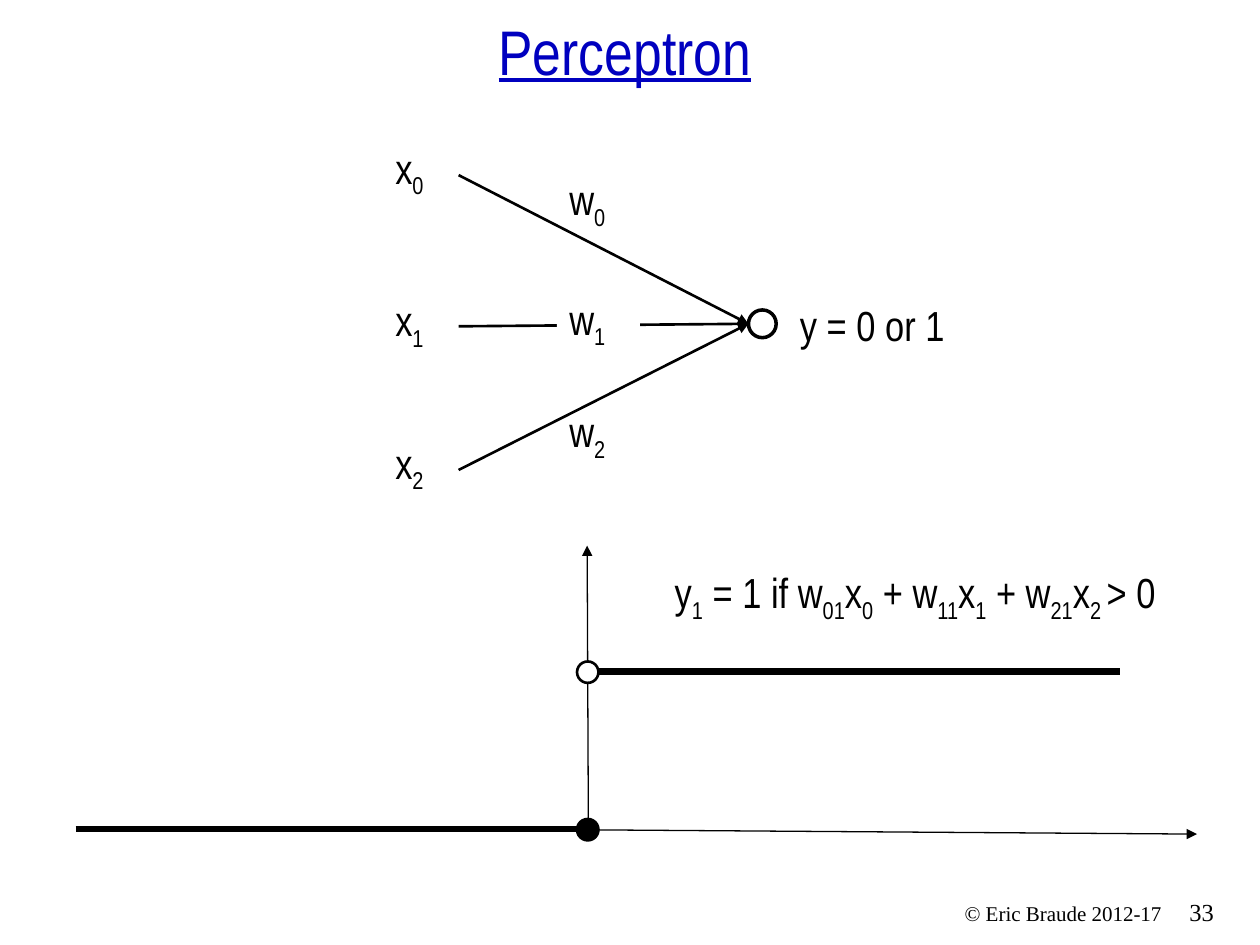
import dataclasses

import pptx
import pptx.dml.color
import pptx.enum.shapes
import pptx.enum.text
import pptx.oxml
import pptx.oxml.ns
import pptx.util

Inches = pptx.util.Inches
Pt = pptx.util.Pt
Shape = pptx.enum.shapes.MSO_SHAPE
Align = pptx.enum.text.PP_ALIGN
Anchor = pptx.enum.text.MSO_ANCHOR
AutoSize = pptx.enum.text.MSO_AUTO_SIZE


@dataclasses.dataclass(frozen=True)
class Theme:
    ink: str = "000000"
    paper: str = "FFFFFF"
    heading: str = "0000BF"
    sans: str = "Arial Narrow"
    serif: str = "Times New Roman"
    title_size: float = 36
    label_size: float = 24
    number_size: float = 14
    footer_size: float = 12
    axis_line: float = 0.75
    edge_line: float = 1.5
    node_line: float = 2
    step_line: float = 3.75


@dataclasses.dataclass(frozen=True)
class Box:
    left: float
    top: float
    width: float
    height: float

    def inner(self, x, y, width, height):
        return Box(self.left + x, self.top + y, width, height)

    def point(self, x, y):
        return self.left + x, self.top + y

    def lengths(self):
        return [Inches(value) for value in dataclasses.astuple(self)]


THEME = Theme()


def rgb(value):
    return pptx.dml.color.RGBColor.from_string(value)


def apply(target, values):
    for name, value in values.items():
        setattr(target, name, value)


def write(frame, text, size, font=THEME.sans, color=THEME.ink,
          align=Align.LEFT, anchor=Anchor.TOP, underline=None):
    apply(frame, {
        "word_wrap": True, "auto_size": AutoSize.NONE,
        "vertical_anchor": anchor,
        "margin_left": Inches(0.1), "margin_right": Inches(0.1),
        "margin_top": Inches(0.05), "margin_bottom": Inches(0.05),
    })
    paragraph = frame.paragraphs[0]
    paragraph.alignment = align
    for index, piece in enumerate(text.split("|")):
        if not piece:
            continue
        run = paragraph.add_run()
        run.text = piece
        apply(run.font, {"name": font, "size": Pt(size), "underline": underline})
        run.font.color.rgb = rgb(color)
        if index % 2:
            run.font._element.set("baseline", "-25000")


def add_label(slide, box, text, size=THEME.label_size, **style):
    label = slide.shapes.add_textbox(*box.lengths())
    write(label.text_frame, text, size, **style)
    return label


def add_line(slide, start, end, weight, arrow=False):
    ends = [Inches(value) for value in (*start, *end)]
    line = slide.shapes.add_connector(
        pptx.enum.shapes.MSO_CONNECTOR.STRAIGHT, *ends)
    line.line.color.rgb = rgb(THEME.ink)
    line.line.width = Pt(weight)
    if arrow:
        tail = pptx.oxml.parse_xml(
            f'<a:tailEnd {pptx.oxml.ns.nsdecls("a")} type="triangle"/>')
        line.line._get_or_add_ln().append(tail)
    line._element.spPr.append(
        pptx.oxml.parse_xml(f'<a:effectLst {pptx.oxml.ns.nsdecls("a")}/>'))


def add_circle(slide, box, fill, weight):
    circle = slide.shapes.add_shape(Shape.OVAL, *box.lengths())
    circle.shadow.inherit = False
    circle.fill.solid()
    circle.fill.fore_color.rgb = rgb(fill)
    circle.line.color.rgb = rgb(THEME.ink)
    circle.line.width = Pt(weight)


def build_title(slide, box):
    title = slide.shapes.title
    apply(title, dict(zip(("left", "top", "width", "height"), box.lengths())))
    write(title.text_frame, "Perceptron", THEME.title_size,
          color=THEME.heading, align=Align.CENTER, anchor=Anchor.BOTTOM,
          underline=True)


def build_network(slide, box):
    add_circle(slide, box.inner(3.1, 1.38, 0.22, 0.22), THEME.paper, THEME.node_line)
    inputs = ((0, 0.31, 0.25), (1.21, 1.51, 1.2), (2.34, 2.65, 2.09))
    for index, (input_top, edge_start, weight_top) in enumerate(inputs):
        add_line(slide, box.point(0.8, edge_start), box.point(3.1, 1.49),
                 THEME.edge_line, arrow=True)
        add_label(slide, box.inner(0, input_top, 0.62, 0.5), f"x|{index}",
                  align=Align.RIGHT)
        weight = add_label(slide, box.inner(1.58, weight_top, 0.66, 0.5),
                           f"w|{index}")
        if index == 1:
            weight.fill.solid()
            weight.fill.fore_color.rgb = rgb(THEME.paper)
    add_label(slide, box.inner(3.41, 1.25, 2.42, 0.5), "y = 0 or 1")


def build_step_graph(slide, box):
    add_line(slide, box.point(1.75, 2.24), box.point(8.9, 2.29),
             THEME.axis_line, arrow=True)
    add_line(slide, box.point(4.07, 2.25), box.point(4.06, 0),
             THEME.axis_line, arrow=True)
    steps = ((0, 3.98, 2.25, THEME.ink), (4.15, 8.29, 1, THEME.paper))
    for start, end, level, fill in steps:
        add_line(slide, box.point(start, level), box.point(end, level),
                 THEME.step_line)
        add_circle(slide, box.inner(3.98, level - 0.08, 0.17, 0.17), fill,
                   THEME.edge_line)
    add_label(slide, box.inner(2.16, 0.12, 6.51, 0.5),
              "y|1| = 1 if w|01|x|0| + w|11|x|1| + w|21|x|2 |> 0",
              align=Align.RIGHT)


def build_footer(slide, box):
    add_label(slide, box.inner(0, 0.03, 2.67, 0.3), "© Eric Braude 2012-17",
              THEME.footer_size, font=THEME.serif, align=Align.RIGHT)
    add_label(slide, box.inner(2.69, 0, 0.58, 0.33), "33",
              THEME.number_size, font=THEME.serif)


def main():
    deck = pptx.Presentation()
    apply(deck, {"slide_width": Inches(10), "slide_height": Inches(7.5)})
    slide = deck.slides.add_slide(deck.slide_layouts[5])
    build_title(slide, Box(0, 0.21, 9.92, 0.54))
    build_network(slide, Box(2.84, 1.08, 5.83, 2.84))
    build_step_graph(slide, Box(0.6, 4.33, 8.9, 2.34))
    build_footer(slide, Box(6.65, 7.07, 3.27, 0.33))
    deck.save("out.pptx")


if __name__ == "__main__":
    main()
